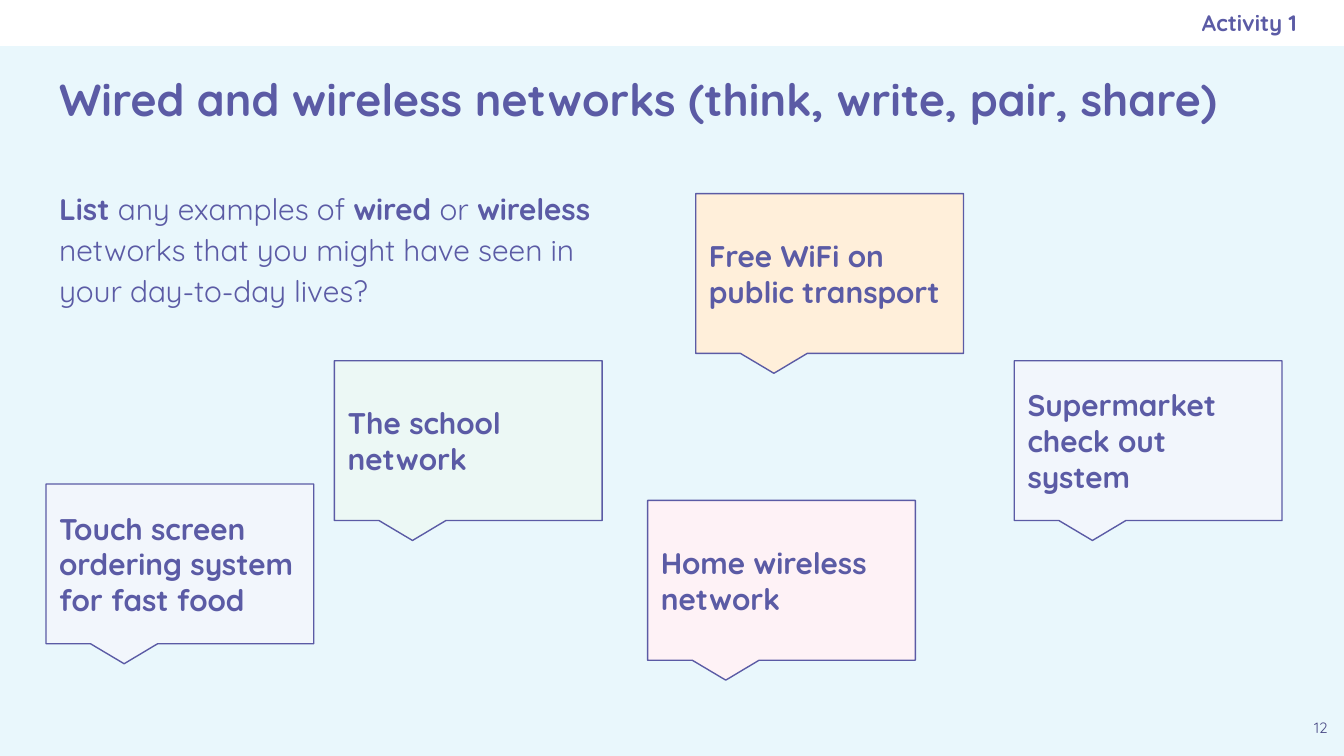
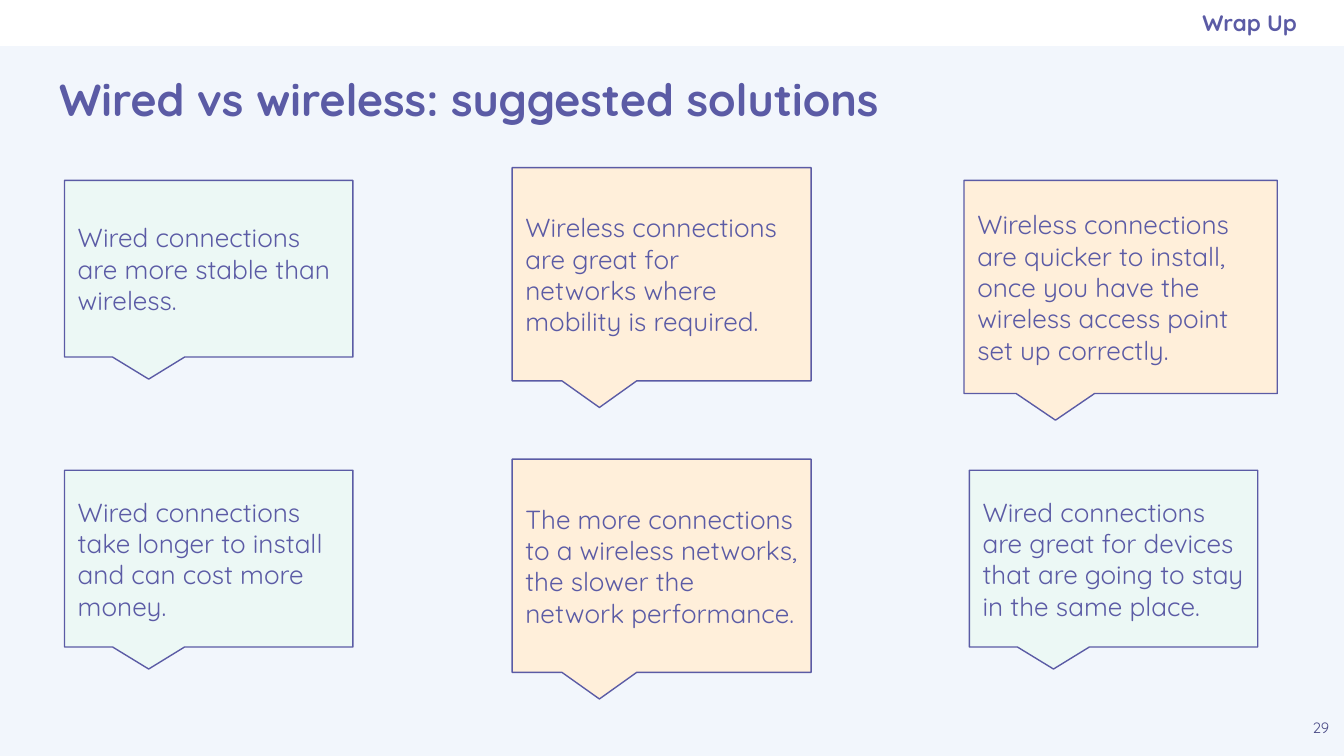
from dataclasses import dataclass

from pptx import Presentation
from pptx.dml.color import RGBColor
from pptx.enum.shapes import MSO_SHAPE
from pptx.enum.text import MSO_ANCHOR, PP_ALIGN
from pptx.slide import Slide
from pptx.text.text import TextFrame
from pptx.util import Cm, Pt

RECTANGLE = MSO_SHAPE.RECTANGLE
CALLOUT = MSO_SHAPE.ROUNDED_RECTANGULAR_CALLOUT
TOP, MIDDLE = MSO_ANCHOR.TOP, MSO_ANCHOR.MIDDLE
LEFT, CENTER, RIGHT = PP_ALIGN.LEFT, PP_ALIGN.CENTER, PP_ALIGN.RIGHT

PURPLE = RGBColor(0x5B, 0x5B, 0xA5)
DARK_PURPLE = RGBColor(0x49, 0x49, 0x85)
WHITE = RGBColor(0xFF, 0xFF, 0xFF)
SKY = RGBColor(0xE9, 0xF7, 0xFC)
LAVENDER = RGBColor(0xF2, 0xF6, 0xFC)
MINT = RGBColor(0xEC, 0xF8, 0xF5)
PEACH = RGBColor(0xFF, 0xEF, 0xDA)
PINK = RGBColor(0xFE, 0xF2, 0xF6)

FONT = "Quicksand"
SLIDE_WIDTH, SLIDE_HEIGHT = 25.4, 14.29
MARGIN = 0.87
BAND_HEIGHT = 0.87
INSET = 0.25
POINTER = (-0.208, 0.625, 0)  # tip x, tip y, corner radius


@dataclass(frozen=True)
class Box:
    """A rectangle in centimetres."""
    left: float
    top: float
    width: float
    height: float

    def lengths(self) -> tuple[Cm, Cm, Cm, Cm]:
        return Cm(self.left), Cm(self.top), Cm(self.width), Cm(self.height)


@dataclass(frozen=True)
class TextStyle:
    size: float
    bold: bool = False
    color: RGBColor = PURPLE
    align: PP_ALIGN = LEFT
    anchor: MSO_ANCHOR = MIDDLE
    right_inset: float = INSET


@dataclass(frozen=True)
class Bubble:
    text: str
    fill: RGBColor
    box: Box


TITLE = TextStyle(24, bold=True)
SECTION = TextStyle(12, bold=True, align=RIGHT, right_inset=0)
PAGE_NUMBER = TextStyle(8, color=DARK_PURPLE, align=CENTER, anchor=TOP)
TASK = TextStyle(16, anchor=TOP)
EXAMPLE = TextStyle(16, bold=True)
SOLUTION = TextStyle(14)

BAND_BOX = Box(0, 0, SLIDE_WIDTH, BAND_HEIGHT)
TITLE_BOX = Box(MARGIN, 0.89, 23.67, 1.93)
SECTION_BOX = Box(14.6, 0, 9.91, BAND_HEIGHT)
PAGE_BOX = Box(24.53, 13.41, 0.87, 0.87)
TASK_BOX = Box(MARGIN, 3.25, 11.38, 10.16)

# Task text: (words, bold)
TASK_RUNS = [
    ("List ", True), ("any examples of ", False), ("wired ", True),
    ("or ", False), ("wireless ", True),
    ("networks that you might have seen in your day-to-day lives?", False),
]


def example(text: str, fill: RGBColor, left: float, top: float) -> Bubble:
    return Bubble(text, fill, Box(left, top, 5.06, 3.02))


def wired(text: str, left: float, top: float) -> Bubble:
    return Bubble(text, MINT, Box(left, top, 5.45, 3.34))


def wireless(text: str, left: float, top: float, width: float = 5.65) -> Bubble:
    return Bubble(text, PEACH, Box(left, top, width, 4.03))


EXAMPLES = [
    example("Home wireless network", PINK, 12.24, 9.46),
    example("The school network", MINT, 6.32, 6.82),
    example("Free WiFi on public transport", PEACH, 13.15, 3.66),
    example("Supermarket check out system", LAVENDER, 19.17, 6.82),
    example("Touch screen ordering system for fast food", LAVENDER, MARGIN, 9.15),
]

SOLUTIONS = [
    wired("Wired connections are more stable than wireless.", 1.22, 3.41),
    wireless("Wireless connections are quicker to install, once you have the "
             "wireless access point set up correctly.", 18.22, 3.41, 5.92),
    wired("Wired connections take longer to install and can cost more money.",
          1.22, 8.89),
    wireless("Wireless connections are great for networks where mobility is "
             "required.", 9.68, 3.17),
    wired("Wired connections are great for devices that are going to stay in "
          "the same place.", 18.32, 8.89),
    wireless("The more connections to a wireless networks, the slower the "
             "network performance.", 9.68, 8.68),
]


def write(frame: TextFrame, runs: list[tuple[str, bool]], style: TextStyle) -> None:
    """Fill a frame with one styled paragraph."""
    frame_format = {
        "word_wrap": True,
        "vertical_anchor": style.anchor,
        "margin_left": Cm(INSET),
        "margin_top": Cm(INSET),
        "margin_right": Cm(style.right_inset),
        "margin_bottom": Cm(INSET),
    }
    for attribute, value in frame_format.items():
        setattr(frame, attribute, value)
    paragraph = frame.paragraphs[0]
    paragraph.alignment = style.align
    for words, bold in runs:
        run = paragraph.add_run()
        run.text = words
        font_format = {"name": FONT, "size": Pt(style.size), "bold": bold}
        for attribute, value in font_format.items():
            setattr(run.font, attribute, value)
        run.font.color.rgb = style.color


def add_label(slide: Slide, text: str, box: Box, style: TextStyle) -> None:
    label = slide.shapes.add_textbox(*box.lengths())
    write(label.text_frame, [(text, style.bold)], style)


def add_task(slide: Slide) -> None:
    task = slide.shapes.add_textbox(*TASK_BOX.lengths())
    write(task.text_frame, TASK_RUNS, TASK)
    paragraph = task.text_frame.paragraphs[0]
    paragraph.line_spacing = 1.15
    paragraph.space_after = Pt(16)


def add_bubbles(slide: Slide, bubbles: list[Bubble], style: TextStyle) -> None:
    for bubble in bubbles:
        callout = slide.shapes.add_shape(CALLOUT, *bubble.box.lengths())
        callout.shadow.inherit = False
        for index, value in enumerate(POINTER):
            callout.adjustments[index] = value
        callout.fill.solid()
        callout.fill.fore_color.rgb = bubble.fill
        callout.line.color.rgb = PURPLE
        callout.line.width = Pt(0.75)
        write(callout.text_frame, [(bubble.text, style.bold)], style)


def add_base(deck: Presentation, background: RGBColor, title: str,
             section: str, page: int) -> Slide:
    """Add a slide with its background, top band, title and page number."""
    slide = deck.slides.add_slide(deck.slide_layouts[6])
    slide.background.fill.solid()
    slide.background.fill.fore_color.rgb = background
    band = slide.shapes.add_shape(RECTANGLE, *BAND_BOX.lengths())
    band.shadow.inherit = False
    band.fill.solid()
    band.fill.fore_color.rgb = WHITE
    band.line.fill.background()
    add_label(slide, title, TITLE_BOX, TITLE)
    add_label(slide, section, SECTION_BOX, SECTION)
    add_label(slide, str(page), PAGE_BOX, PAGE_NUMBER)
    return slide


def main() -> None:
    deck = Presentation()
    deck.slide_width, deck.slide_height = Cm(SLIDE_WIDTH), Cm(SLIDE_HEIGHT)

    # Examples of networks
    activity = add_base(deck, SKY,
                        "Wired and wireless networks (think, write, pair, share)",
                        "Activity 1", 12)
    add_task(activity)
    add_bubbles(activity, EXAMPLES, EXAMPLE)

    # Suggested solutions
    wrap_up = add_base(deck, LAVENDER, "Wired vs wireless: suggested solutions",
                       "Wrap Up", 29)
    add_bubbles(wrap_up, SOLUTIONS, SOLUTION)

    deck.save("out.pptx")


if __name__ == "__main__":
    main()
